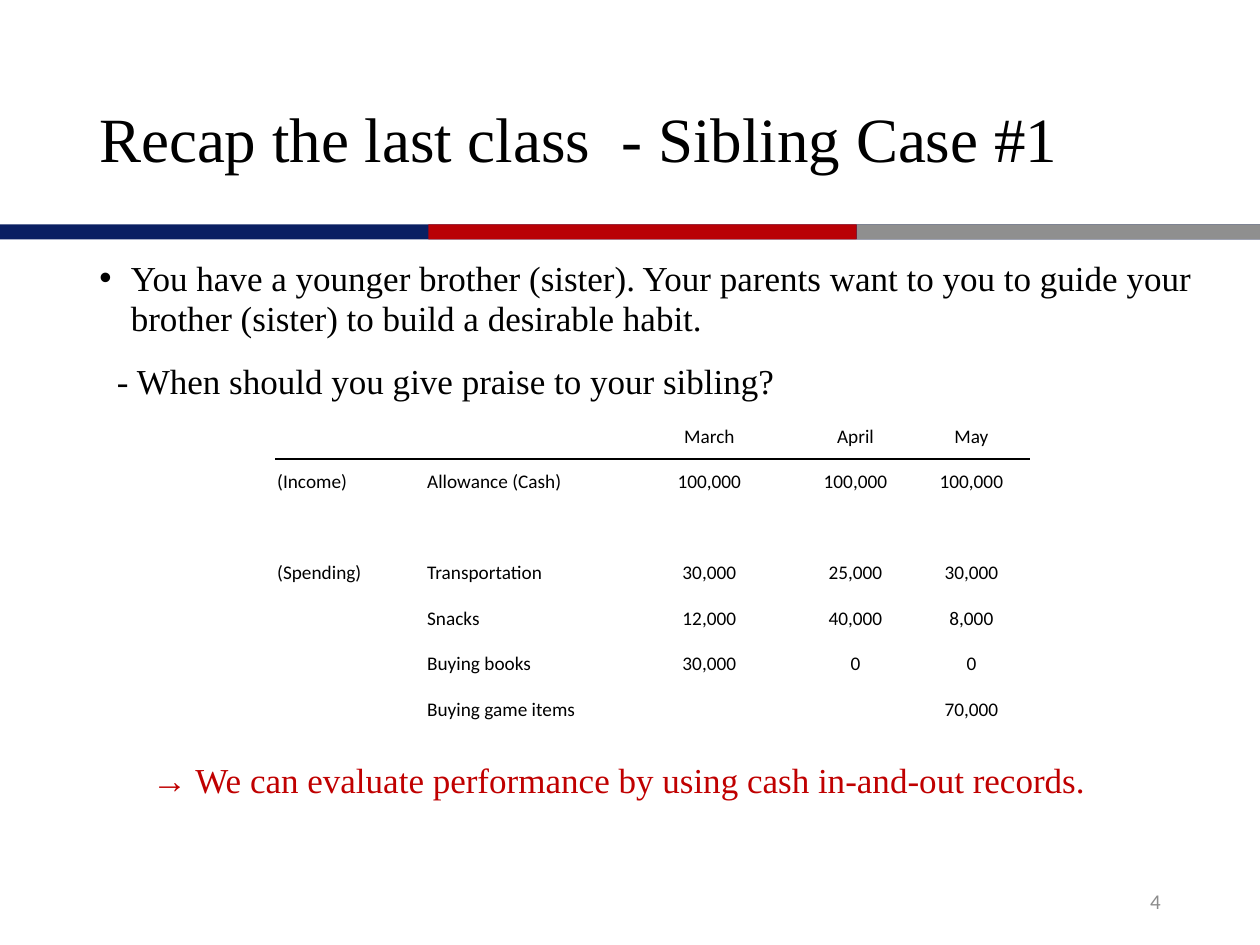
from lxml.etree import SubElement
from pptx import Presentation
from pptx.dml.color import RGBColor
from pptx.enum.shapes import MSO_SHAPE
from pptx.enum.text import MSO_ANCHOR, PP_ALIGN
from pptx.oxml.ns import qn
from pptx.util import Inches, Pt

BLACK = RGBColor(0x00, 0x00, 0x00)
WHITE = RGBColor(0xFF, 0xFF, 0xFF)
NAVY = RGBColor(0x0A, 0x1F, 0x62)
RED = RGBColor(0xB9, 0x00, 0x05)
GRAY = RGBColor(0x8F, 0x8F, 0x8F)
NUMBER_GRAY = RGBColor(0x8C, 0x8C, 0x8C)
ACCENT_RED = RGBColor(0xC0, 0x00, 0x00)

SERIF = "Times New Roman"
SANS = "Calibri"
CELL = Inches(0.1)

TITLE_BOX = (6.9, 4, 88.7, 14.5)
BAND_BOX = (0, 17.8, 100, 1.2)
BODY_BOX = (6.9, 20, 92, 47.6)
TABLE_BOX = (21.9, 32.8, 59.8, 25.3)
NUMBER_BOX = (70.6, 69.5, 22.5, 4)

BAND_PARTS = [(0, 1, NAVY), (0.34, 0.34, RED), (0.68, 0.32, GRAY)]
COLUMN_WIDTHS = [11.9, 15.5, 14, 9.2, 9.2]
RECORDS = [
    ["", "", "March", "April", "May"],
    ["(Income)", "Allowance (Cash)", "100,000", "100,000", "100,000"],
    ["", "", "", "", ""],
    ["(Spending)", "Transportation", "30,000", "25,000", "30,000"],
    ["", "Snacks", "12,000", "40,000", "8,000"],
    ["", "Buying books", "30,000", "0", "0"],
    ["", "Buying game items", "", "", "70,000"],
]


def grid(*cells):
    return [round(cell * CELL) for cell in cells]


def apply(target, values):
    for name, value in values.items():
        setattr(target, name, value)


def write(para, text, size, font, color, layout):
    apply(para, layout)
    span = para.add_run()
    span.text = text
    apply(span.font, {"size": Pt(size), "name": font})
    span.font.color.rgb = color


def add_text_box(page, box, anchor):
    frame = page.shapes.add_textbox(*grid(*box)).text_frame
    apply(frame, {"word_wrap": True, "vertical_anchor": anchor})
    return frame


def indent(para, left, hanging=0, bullet=None):
    properties = para._p.get_or_add_pPr()
    properties.set("marL", str(Inches(left)))
    properties.set("indent", str(-Inches(hanging)))
    if bullet:
        SubElement(properties, qn("a:buFont")).set("typeface", "Arial")
        SubElement(properties, qn("a:buChar")).set("char", bullet)


def add_band(page, box):
    left, top, width, height = box
    for start, share, color in BAND_PARTS:
        part = page.shapes.add_shape(
            MSO_SHAPE.RECTANGLE,
            *grid(left + start * width, top, share * width, height),
        )
        part.shadow.inherit = False
        part.fill.solid()
        part.fill.fore_color.rgb = color
        part.line.fill.background()


def add_title(page, box):
    frame = add_text_box(page, box, MSO_ANCHOR.MIDDLE)
    write(frame.paragraphs[0], "Recap the last class  - Sibling Case #1",
          36, SERIF, BLACK, {"line_spacing": 0.9})


def add_body(page, box):
    frame = add_text_box(page, box, MSO_ANCHOR.TOP)
    prompt = frame.paragraphs[0]
    question = frame.add_paragraph()
    answer = frame.add_paragraph()
    indent(prompt, 0.25, 0.25, "•")
    indent(question, 0.14)
    indent(answer, 0.42)
    write(prompt,
          "You have a younger brother (sister). Your parents want to you to guide "
          "your brother (sister) to build a desirable habit.",
          20, SERIF, BLACK, {"line_spacing": Pt(23), "space_after": Pt(6)})
    write(question, "- When should you give praise to your sibling?", 20, SERIF, BLACK,
          {"line_spacing": Pt(20), "space_before": Pt(10), "space_after": Pt(18)})
    write(answer, "→ We can evaluate performance by using cash in-and-out records.",
          20, SERIF, ACCENT_RED, {"line_spacing": Pt(20), "space_before": Pt(190)})


def set_borders(cell, colors):
    properties = cell._tc.get_or_add_tcPr()
    for position, (side, color) in enumerate(colors.items()):
        line = properties.makeelement(qn(f"a:{side}"), {"w": str(Pt(1))})
        fill = SubElement(line, qn("a:solidFill"))
        SubElement(fill, qn("a:srgbClr")).set("val", str(color))
        properties.insert(position, line)


def add_records(page, box):
    frame = page.shapes.add_table(len(RECORDS), len(COLUMN_WIDTHS), *grid(*box))
    table = frame.table
    apply(table, {"first_row": False, "horz_banding": False})
    for column, width in zip(table.columns, grid(*COLUMN_WIDTHS)):
        column.width = width
    for row_index, record in enumerate(RECORDS):
        table.rows[row_index].height = grid(box[3] / len(RECORDS))[0]
        for column_index, text in enumerate(record):
            cell = table.cell(row_index, column_index)
            apply(cell, {
                "vertical_anchor": MSO_ANCHOR.MIDDLE,
                "margin_left": Inches(0.01), "margin_right": Inches(0.01),
                "margin_top": Inches(0.01), "margin_bottom": 0,
            })
            cell.fill.background()
            set_borders(cell, {
                "lnL": WHITE,
                "lnR": WHITE,
                "lnT": BLACK if row_index == 1 else WHITE,
                "lnB": BLACK if row_index == 0 else WHITE,
            })
            if text:
                align = PP_ALIGN.LEFT if column_index < 2 else PP_ALIGN.CENTER
                write(cell.text_frame.paragraphs[0], text, 11, SANS, BLACK,
                      {"alignment": align})


def add_page_number(page, box):
    frame = add_text_box(page, box, MSO_ANCHOR.MIDDLE)
    write(frame.paragraphs[0], "4", 12, SANS, NUMBER_GRAY, {"alignment": PP_ALIGN.RIGHT})


def main():
    deck = Presentation()
    apply(deck, {"slide_width": 100 * CELL, "slide_height": 75 * CELL})
    page = deck.slides.add_slide(deck.slide_layouts[6])
    add_band(page, BAND_BOX)
    add_title(page, TITLE_BOX)
    add_body(page, BODY_BOX)
    add_page_number(page, NUMBER_BOX)
    add_records(page, TABLE_BOX)
    deck.save("out.pptx")


if __name__ == "__main__":
    main()
